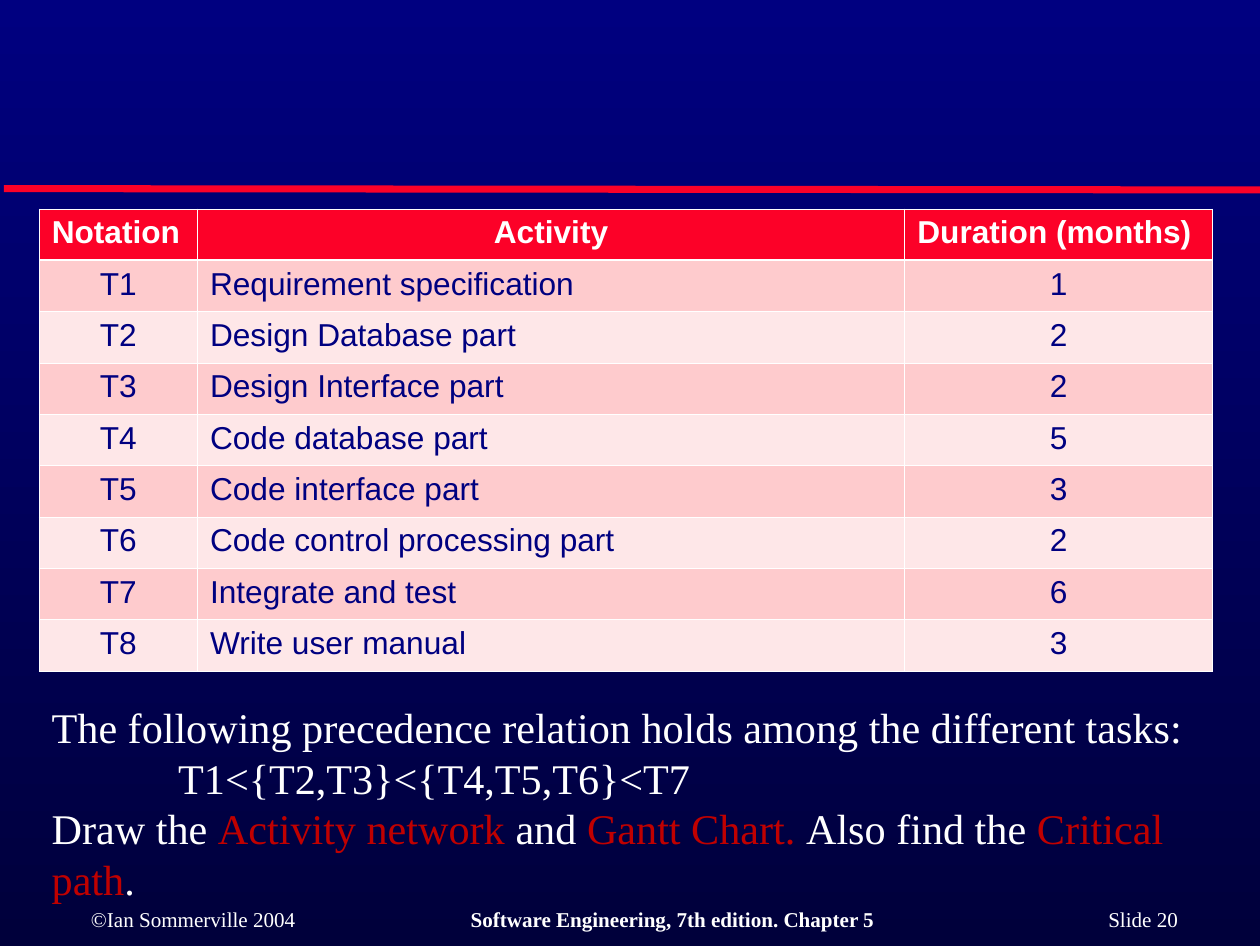
from dataclasses import dataclass

from lxml.etree import SubElement
from pptx import Presentation
from pptx.dml.color import RGBColor as Rgb
from pptx.enum.shapes import MSO_CONNECTOR as Connector
from pptx.enum.text import MSO_AUTO_SIZE as AutoSize, PP_ALIGN as Align
from pptx.oxml.ns import qn
from pptx.util import Inches, Pt


@dataclass(frozen=True)
class Theme:
    """Colours, fonts and type sizes of the slide."""
    sky: str = "000080"
    night: str = "00003B"
    red: str = "FC0128"
    accent: str = "C00000"
    white: str = "FFFFFF"
    bands: tuple = ("FECBCD", "FEE7E8")
    sans: str = "Arial"
    serif: str = "Times New Roman"
    table_size: int = 18
    body_size: int = 24
    footer_size: int = 12
    thin: float = 0.45
    thick: float = 1.47


class SlideBuilder:
    """Draws the elements of one slide in a given theme."""

    def __init__(self, slide, theme):
        self.slide, self.theme = slide, theme

    def background(self):
        """Fill the slide with a vertical gradient."""
        fill = self.slide.background.fill
        fill.gradient()
        fill.gradient_angle = 270
        for stop, color in zip(fill.gradient_stops, (self.theme.sky, self.theme.night)):
            stop.color.rgb = Rgb.from_string(color)

    def rule(self, x1, y1, x2, y2, width):
        """Draw a red line."""
        rule = self.slide.shapes.add_connector(
            Connector.STRAIGHT, Inches(x1), Inches(y1), Inches(x2), Inches(y2))
        rule.line.color.rgb = Rgb.from_string(self.theme.red)
        rule.line.width = Pt(width)
        SubElement(rule._element.spPr, qn("a:effectLst"))

    def style(self, run, font, size, color, bold=False):
        """Format one run."""
        run.font.name, run.font.size, run.font.bold = font, Pt(size), bold
        run.font.color.rgb = Rgb.from_string(color)

    def text(self, left, top, width, height, paragraphs, size, tabs):
        """Add a box of paragraphs, each a list of (text, color, bold) parts."""
        box = self.slide.shapes.add_textbox(
            Inches(left), Inches(top), Inches(width), Inches(height))
        frame = box.text_frame
        frame.word_wrap = True
        frame.auto_size = AutoSize.SHAPE_TO_FIT_TEXT
        for index, parts in enumerate(paragraphs):
            paragraph = frame.add_paragraph() if index else frame.paragraphs[0]
            stops = SubElement(paragraph._p.get_or_add_pPr(), qn("a:tabLst"))
            for position, side in tabs:
                SubElement(stops, qn("a:tab"), pos=str(Inches(position)), algn=side)
            for words, color, bold in parts:
                run = paragraph.add_run()
                run.text = words
                self.style(run, self.theme.serif, size, color, bold)

    def border(self, cell, side, width):
        """Draw a white border on one side of a cell."""
        line = SubElement(cell._tc.get_or_add_tcPr(), qn(f"a:ln{side}"), w=str(Pt(width)))
        SubElement(SubElement(line, qn("a:solidFill")), qn("a:srgbClr"), val=self.theme.white)

    def cell(self, cell, words, row, align):
        """Write, fill and frame one table cell."""
        theme, header = self.theme, row == 0
        for side in "LRTB":
            heavy = (row, side) in ((0, "B"), (1, "T"))
            self.border(cell, side, theme.thick if heavy else theme.thin)
        cell.fill.solid()
        cell.fill.fore_color.rgb = Rgb.from_string(
            theme.red if header else theme.bands[(row - 1) % 2])
        cell.text_frame.text = words
        paragraph = cell.text_frame.paragraphs[0]
        paragraph.alignment = align
        self.style(paragraph.runs[0], theme.sans, theme.table_size,
                   theme.white if header else theme.sky, header)

    def table(self, left, top, widths, height, rows, header_aligns, body_aligns):
        """Add a banded table with a header row."""
        table = self.slide.shapes.add_table(
            len(rows), len(widths), Inches(left), Inches(top),
            Inches(sum(widths)), Inches(height)).table
        table.horz_banding = False
        for column, width in zip(table.columns, widths):
            column.width = Inches(width)
        for index, row in enumerate(rows):
            table.rows[index].height = Inches(height / len(rows))
            aligns = body_aligns if index else header_aligns
            for column, (words, align) in enumerate(zip(row, aligns)):
                self.cell(table.cell(index, column), words, index, align)


POINTS_PER_INCH = 72
ACTIVITIES = [
    ("Requirement specification", 1),
    ("Design Database part", 2),
    ("Design Interface part", 2),
    ("Code database part", 5),
    ("Code interface part", 3),
    ("Code control processing part", 2),
    ("Integrate and test", 6),
    ("Write user manual", 3),
]


def main():
    """Build and save the slide."""
    deck = Presentation()
    deck.slide_width = Inches(716.88 / POINTS_PER_INCH)
    deck.slide_height = Inches(538 / POINTS_PER_INCH)
    theme = Theme()
    white, accent = theme.white, theme.accent
    builder = SlideBuilder(deck.slides.add_slide(deck.slide_layouts[6]), theme)

    builder.background()
    builder.rule(0.03, 1.49, 9.96, 1.5, 4)
    footer = [
        ("©Ian Sommerville 2004\t", white, False),
        ("Software Engineering, 7th edition. Chapter 5\t", white, True),
        ("Slide 20", white, False),
    ]
    builder.text(0.62, 7.11, 8.88, 0.3, [footer], theme.footer_size,
                 [(3, "l"), (8.59, "r")])

    rows = [("Notation", "Activity", "Duration (months)")]
    rows += [(f"T{number}", activity, str(months))
             for number, (activity, months) in enumerate(ACTIVITIES, 1)]
    builder.table(0.31, 1.65, (1.25, 5.59, 2.43), 3.65, rows,
                  (Align.LEFT, Align.CENTER, Align.LEFT),
                  (Align.CENTER, Align.LEFT, Align.CENTER))

    task = [
        ("Draw the ", white, False),
        ("Activity network", accent, False),
        (" and ", white, False),
        ("Gantt Chart. ", accent, False),
        ("Also find the ", white, False),
        ("Critical path", accent, False),
        (".", white, False),
    ]
    builder.text(0.31, 5.49, 9.25, 1.7, [
        [("The following precedence relation holds among the different tasks:", white, False)],
        [("\tT1<{T2,T3}<{T4,T5,T6}<T7", white, False)],
        task,
    ], theme.body_size, [(1, "l")])

    deck.save("out.pptx")


if __name__ == "__main__":
    main()
